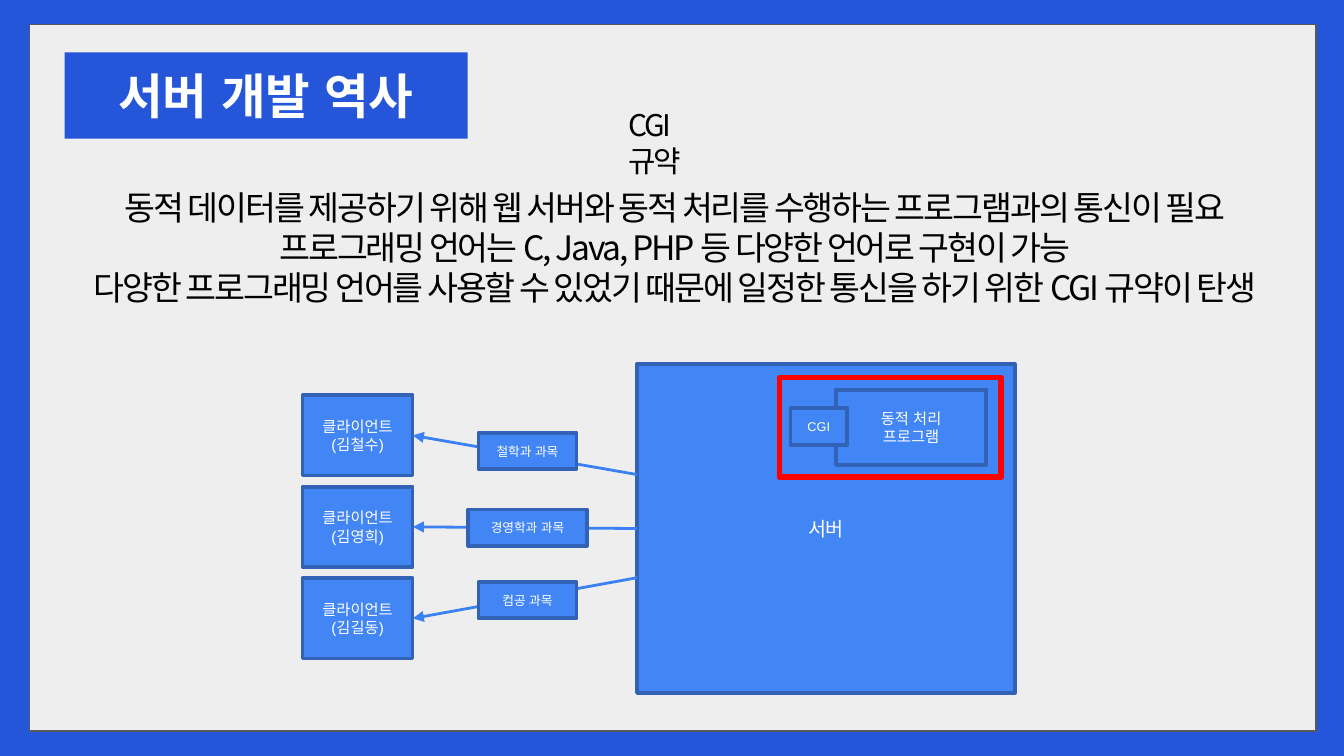
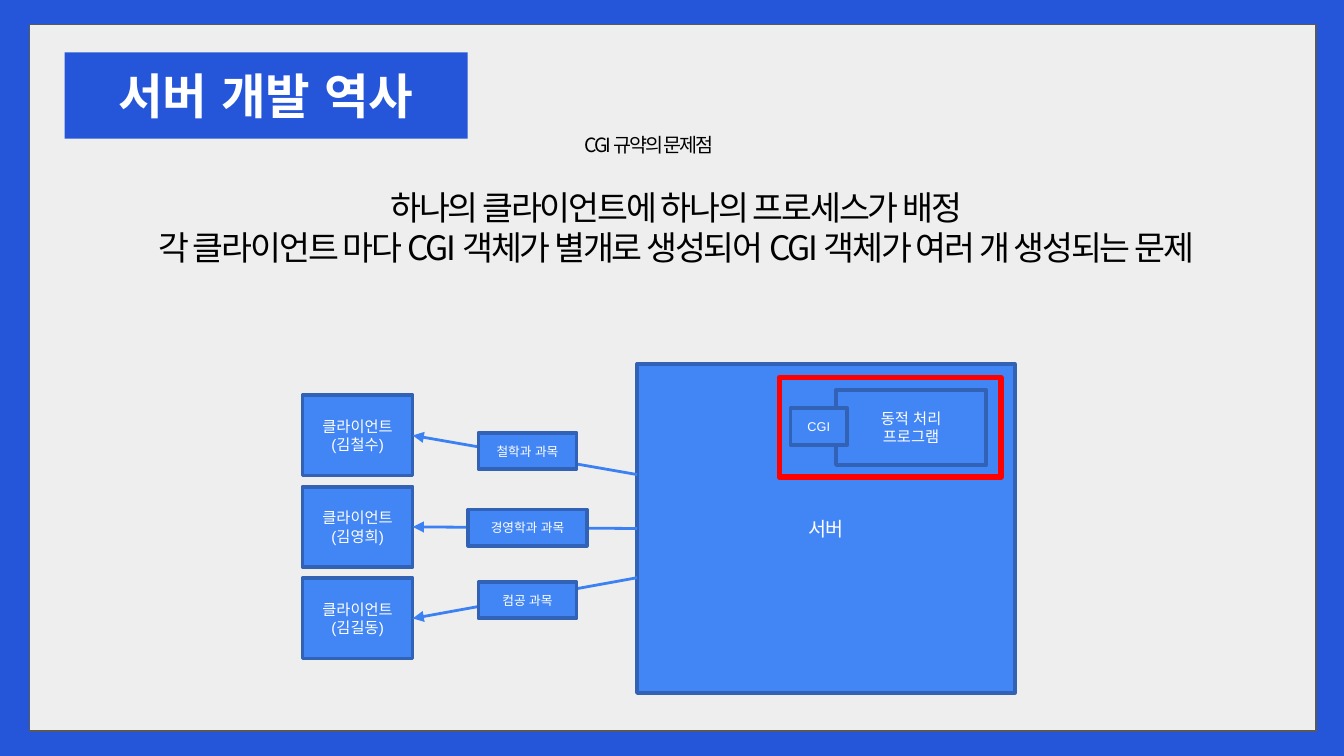
from lxml import etree
from pptx import Presentation
from pptx.dml.color import RGBColor
from pptx.enum.shapes import MSO_CONNECTOR, MSO_SHAPE
from pptx.enum.text import MSO_ANCHOR, MSO_AUTO_SIZE, PP_ALIGN
from pptx.oxml.ns import qn
from pptx.util import Cm, Pt

RECT = MSO_SHAPE.RECTANGLE
LINE = MSO_CONNECTOR.STRAIGHT
LEFT, CENTER = PP_ALIGN.LEFT, PP_ALIGN.CENTER
MIDDLE = MSO_ANCHOR.MIDDLE
FIT, FIXED = MSO_AUTO_SIZE.SHAPE_TO_FIT_TEXT, MSO_AUTO_SIZE.NONE

HEX = {
    "frame": "2555D9", "panel": "EEEEEE", "rim": "595959",
    "box": "4285F4", "edge": "3162B5", "arrow": "3C81F3",
    "mark": "FF0000", "ink": "000000", "white": "FFFFFF",
}
SANS, NOTO = "Arial", "Noto Sans CJK KR"
TITLE = "서버 개발 역사"
PAGES = [
    ("CGI 규약", 16, (11.63, 1.9, 2.29, 0.94),
     "동적 데이터를 제공하기 위해 웹 서버와 동적 처리를 수행하는 프로그램과의 통신이 필요\n"
     "프로그래밍 언어는 C, Java, PHP 등 다양한 언어로 구현이 가능\n"
     "다양한 프로그래밍 언어를 사용할 수 있었기 때문에 일정한 통신을 하기 위한 CGI 규약이 탄생",
     (0.76, 3.4, 24, 2.57)),
    ("CGI 규약의 문제점", 10.5, (10.8, 2.39, 3.1, 0.71),
     "하나의 클라이언트에 하나의 프로세스가 배정\n"
     "각 클라이언트 마다 CGI 객체가 별개로 생성되어 CGI 객체가 여러 개 생성되는 문제",
     (2.11, 3.4, 21.34, 1.8)),
]
ROWS = [
    ("김철수", 8.97, "철학과 과목", 8.18, 1.85),
    ("김영희", None, "경영학과 과목", 9.63, 2.24),
    ("김길동", 10.92, "컴공 과목", 11, 1.85),
]


def color(name):
    return RGBColor.from_string(HEX[name])


class Deck:
    def __init__(self):
        self.prs = Presentation()
        self.prs.slide_width, self.prs.slide_height = Cm(25.4), Cm(14.29)
        self.base = self.prs.slide_layouts[5]
        self.paint(self.base.background.fill, "frame")
        self.slide = None

    def paint(self, fill, name):
        fill.solid()
        fill.fore_color.rgb = color(name)

    def label(self, frame, text, size, ink="white", font=SANS, align=CENTER, bold=False):
        frame.text = text
        for para in frame.paragraphs:
            para.alignment = align
            for run in para.runs:
                run.font.size, run.font.name, run.font.bold = Pt(size), font, bold
                run.font.color.rgb = color(ink)
                props = run.font._element
                etree.SubElement(props, qn("a:ea")).set("typeface", font)

    def page(self, title):
        self.slide = self.prs.slides.add_slide(self.base)
        if len(self.prs.slides) == 1:
            self.panel()
        head = self.slide.shapes.title
        head.left, head.top, head.width, head.height = map(Cm, (1.22, 0.99, 7.62, 1.63))
        self.paint(head.fill, "frame")
        frame = head.text_frame
        frame.auto_size, frame.vertical_anchor = FIXED, MIDDLE
        self.label(frame, title, 26, bold=True)

    def panel(self):
        shape = self.box((0.56, 0.46, 24.31, 13.36), fill="panel", edge="rim", width=0.75)
        node = shape.element
        node.nvSpPr.cNvPr.set("id", "20")
        self.base.shapes.element.insert(2, node)

    def box(self, area, text="", size=8.2, fill="box", edge="edge", width=2):
        shape = self.slide.shapes.add_shape(RECT, *map(Cm, area))
        shape.shadow.inherit = False
        if fill:
            self.paint(shape.fill, fill)
        else:
            shape.fill.background()
        shape.line.color.rgb, shape.line.width = color(edge), Pt(width)
        if text:
            shape.text_frame.vertical_anchor = MIDDLE
            self.label(shape.text_frame, text, size)
        return shape

    def note(self, area, text, size, align=LEFT):
        frame = self.slide.shapes.add_textbox(*map(Cm, area)).text_frame
        frame.word_wrap, frame.auto_size = False, FIT
        self.label(frame, text, size, "ink", NOTO, align)
        for para in frame.paragraphs:
            para.line_spacing = Pt(size * 1.2)
            for run in para.runs:
                run.font._element.set("spc", "-110")

    def arrow(self, server, client, y=None):
        start = server.top + server.height // 2 if y is None else Cm(y)
        link = self.slide.shapes.add_connector(LINE, server.left, start, client.left, client.top)
        if y is None:
            link.begin_connect(server, 1)
        link.end_connect(client, 3)
        link.line.color.rgb, link.line.width = color("arrow"), Pt(1.5)
        props = link.element.spPr
        etree.SubElement(props.find(qn("a:ln")), qn("a:tailEnd")).set("type", "triangle")
        etree.SubElement(props, qn("a:effectLst"))

    def flow(self):
        server = self.box((12.04, 6.88, 7.14, 6.22), "서버", 10.5)
        for i, (name, start, label, top, wide) in enumerate(ROWS):
            client = self.box((5.72, 7.47 + 1.73 * i, 2.08, 1.52), f"클라이언트\n({name})")
            self.arrow(server, client, start)
            self.box((9.97 - wide / 2, top, wide, 0.69), label, 6.8)
        self.box((15.8, 7.37, 2.84, 1.42), "동적 처리\n프로그램")
        self.box((14.94, 7.72, 1.07, 0.69), "CGI", 6.8)
        self.box((14.73, 7.14, 4.19, 1.88), fill=None, edge="mark", width=3)


def main():
    deck = Deck()
    for head, size, spot, body, area in PAGES:
        deck.page(TITLE)
        deck.note(spot, head, size)
        deck.note(area, body, 18, CENTER)
        deck.flow()
    deck.prs.save("out.pptx")


if __name__ == "__main__":
    main()
